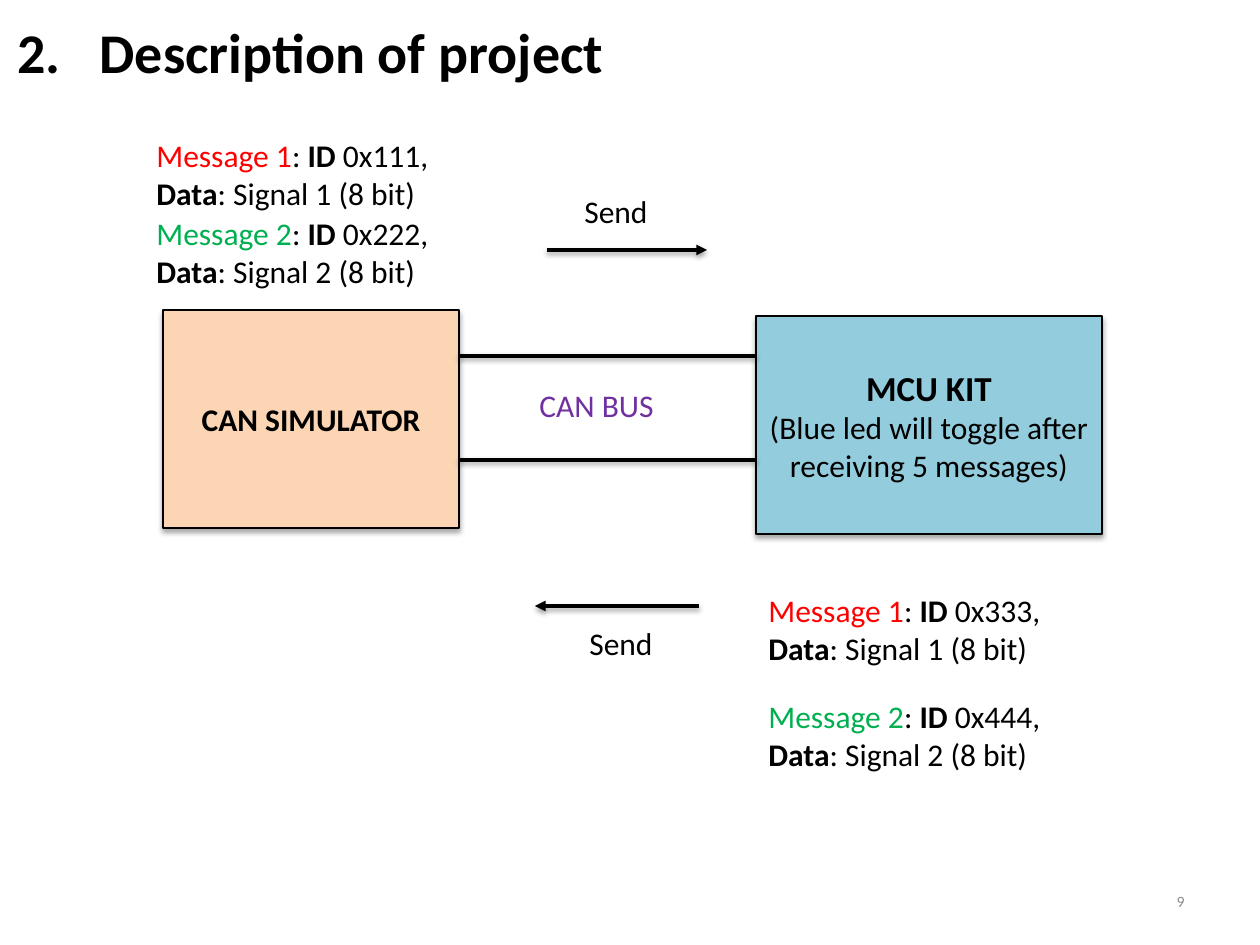
from lxml.etree import SubElement
from pptx import Presentation
from pptx.dml.color import RGBColor
from pptx.enum.shapes import MSO_CONNECTOR, MSO_SHAPE
from pptx.enum.text import MSO_ANCHOR, PP_ALIGN
from pptx.oxml.ns import qn
from pptx.util import Pt


class Theme:
    font = "Calibri"
    ink, red, green, violet, grey = "000000", "FF0000", "00B050", "7030A0", "8C8C8C"
    peach, sky = "FCD5B5", "93CDDD"
    title, head, body, note = 32, 20, 18, 9
    edge, wire = 0.75, 2


def px(n):
    return round(n * 914400 / 126)


def rgb(code):
    return RGBColor.from_string(code)


def write(shape, *paras, align=PP_ALIGN.LEFT, anchor=MSO_ANCHOR.TOP):
    """Fill a shape; each paragraph is a list of (text, format) runs."""
    frame = shape.text_frame
    frame.word_wrap = True
    frame.vertical_anchor = anchor
    for i, runs in enumerate(paras):
        para = frame.paragraphs[0] if i == 0 else frame.add_paragraph()
        para.alignment = align
        for text, form in runs:
            run = para.add_run()
            run.text = text
            font = run.font
            font.name = Theme.font
            font.size = Pt(form.get("size", Theme.body))
            font.bold = form.get("bold", False)
            font.color.rgb = rgb(form.get("color", Theme.ink))


def label(slide, box, *paras, **form):
    shape = slide.shapes.add_textbox(*map(px, box))
    write(shape, *paras, **form)


def shade(shape, alpha, dist):
    """Cast a soft shadow straight down; call after fill and line are set."""
    props = shape._element.spPr
    for old in props.findall(qn("a:effectLst")):
        props.remove(old)
    effects = SubElement(props, qn("a:effectLst"))
    outer = SubElement(effects, qn("a:outerShdw"), blurRad=str(Pt(3.1)),
                       dist=str(Pt(dist)), dir="5400000", rotWithShape="0")
    color = SubElement(outer, qn("a:srgbClr"), val=Theme.ink)
    SubElement(color, qn("a:alpha"), val=str(alpha * 1000))


def wire(slide, start, end, arrow=False):
    line = slide.shapes.add_connector(MSO_CONNECTOR.STRAIGHT, *map(px, start + end))
    line.line.color.rgb = rgb(Theme.ink)
    line.line.width = Pt(Theme.wire)
    if arrow:
        SubElement(line.line._get_or_add_ln(), qn("a:tailEnd"), type="triangle")
    shade(line, 38, 1.6)


def node(slide, box, fill, *paras):
    shape = slide.shapes.add_shape(MSO_SHAPE.RECTANGLE, *map(px, box))
    shape.fill.solid()
    shape.fill.fore_color.rgb = rgb(fill)
    shape.line.color.rgb = rgb(Theme.ink)
    shape.line.width = Pt(Theme.edge)
    shade(shape, 35, 1.8)
    write(shape, *paras, align=PP_ALIGN.CENTER, anchor=MSO_ANCHOR.MIDDLE)


def heading(slide, box, number, text):
    """Place the title, with its number hung to the left of the text."""
    title = slide.shapes.title
    title.left, title.top, title.width, title.height = map(px, box)
    write(title, [(f"{number}\t{text}", dict(size=Theme.title, bold=True))],
          anchor=MSO_ANCHOR.MIDDLE)
    props = title.text_frame.paragraphs[0]._p.get_or_add_pPr()
    props.set("marL", str(px(82)))
    props.set("indent", str(-px(82)))


def bus(slide, box):
    left, top, width, height = box
    for y in (top, top + height):
        wire(slide, (left, y), (left + width, y))
    label(slide, (left + 68, top + 24, 180, 50),
          [("CAN BUS", dict(color=Theme.violet))])


def messages(slide, box, step, codes):
    left, top, width, height = box
    for i, (code, color) in enumerate(zip(codes, (Theme.red, Theme.green))):
        label(slide, (left, top + i * step, width, height), [
            (f"Message {i + 1}", dict(color=color)), (": ", {}),
            ("ID", dict(bold=True)), (f" {code}, ", {}),
            ("Data", dict(bold=True)), (f": Signal {i + 1} (8 bit)", {})])


def send(slide, start, end, spot):
    wire(slide, start, end, arrow=True)
    label(slide, spot + (98, 50), [("Send", {})])


def main():
    prs = Presentation()
    prs.slide_width, prs.slide_height = px(1260), px(945)
    slide = prs.slides.add_slide(prs.slide_layouts[5])

    heading(slide, (5, 15, 1134, 73), "2.", "Description of project")
    label(slide, (903, 876, 294, 50), [("9", dict(size=Theme.note, color=Theme.grey))],
          align=PP_ALIGN.RIGHT, anchor=MSO_ANCHOR.MIDDLE)

    node(slide, (163, 310, 296, 218), Theme.peach,
         [("CAN SIMULATOR", dict(bold=True))])
    node(slide, (756, 316, 346, 218), Theme.sky,
         [("MCU KIT", dict(size=Theme.head, bold=True))],
         [("(Blue led will toggle after receiving 5 messages)", {})])
    bus(slide, (459, 356, 297, 104))

    messages(slide, (144, 130, 350, 89), 78, ("0x111", "0x222"))
    messages(slide, (756, 585, 350, 89), 106, ("0x333", "0x444"))
    send(slide, (547, 250), (707, 250), (572, 186))
    send(slide, (699, 606), (535, 606), (577, 618))

    prs.save("out.pptx")


if __name__ == "__main__":
    main()
